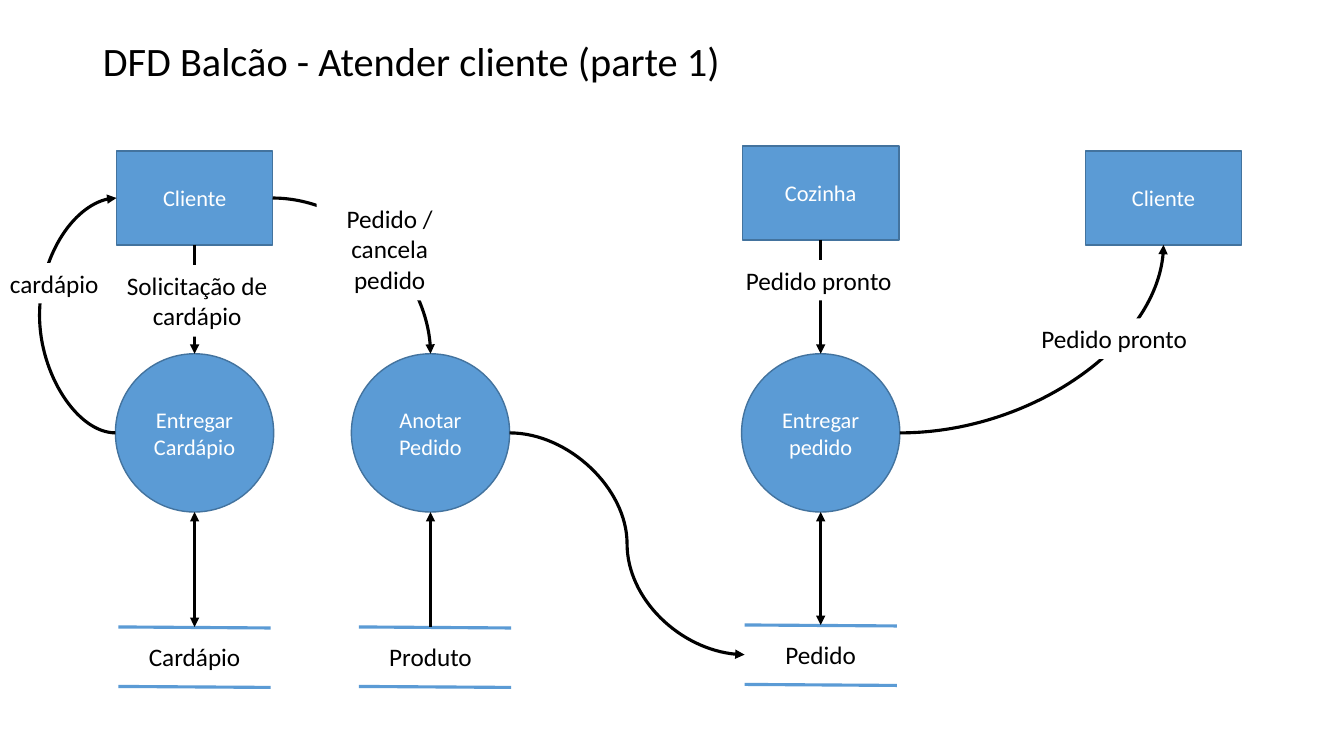
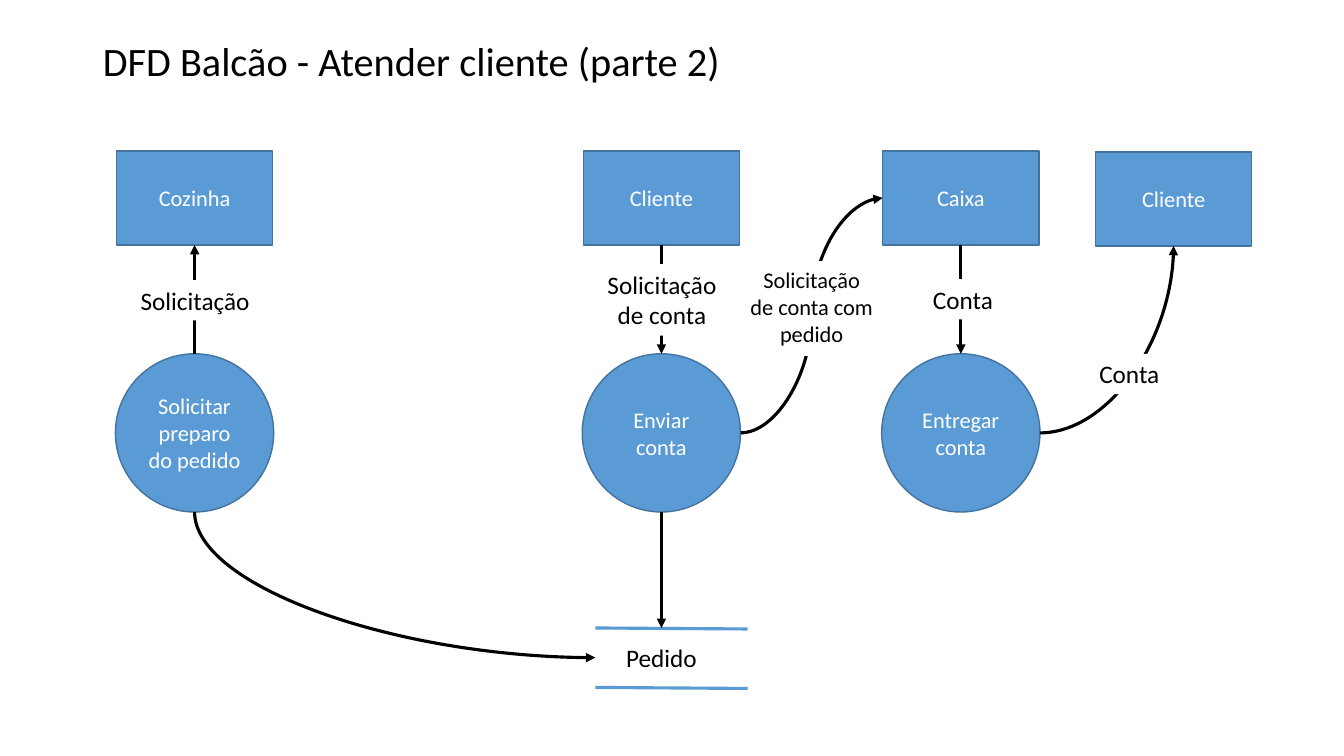
from pptx import Presentation
from pptx.dml.color import RGBColor
from pptx.enum.shapes import MSO_CONNECTOR, MSO_SHAPE
from pptx.enum.text import MSO_ANCHOR, MSO_AUTO_SIZE, PP_ALIGN
from pptx.oxml.xmlchemy import OxmlElement
from pptx.util import Inches, Pt

BLUE = RGBColor(0x5B, 0x9B, 0xD5)
EDGE = RGBColor(0x43, 0x73, 0x9E)
BLACK = RGBColor(0, 0, 0)
WHITE = RGBColor(0xFF, 0xFF, 0xFF)
FONT = "Calibri"
RECT, OVAL = MSO_SHAPE.RECTANGLE, MSO_SHAPE.OVAL
STRAIGHT, CURVE = MSO_CONNECTOR.STRAIGHT, MSO_CONNECTOR.CURVE
LEFT, CENTER = PP_ALIGN.LEFT, PP_ALIGN.CENTER
MIDDLE, TOP = MSO_ANCHOR.MIDDLE, MSO_ANCHOR.TOP

# Sizes shared by both diagrams, in inches
ENTITY_W, ENTITY_H = 1.55, 0.93
PROCESS_D, PROCESS_Y = 1.57, 3.51
STORE_W, STORE_H, STORE_SLOPE = 1.51, 0.59, 0.01

# Connection site numbers of each side
RECT_SITES = {"top": 0, "left": 1, "bottom": 2, "right": 3}
OVAL_SITES = {"top": 0, "left": 2, "bottom": 4, "right": 6}


def set_text(shape, text, size, color, align=CENTER, anchor=MIDDLE):
    tf = shape.text_frame
    tf.word_wrap = True
    tf.vertical_anchor = anchor
    tf.text = text
    for p in tf.paragraphs:
        p.alignment = align
        p.font.name, p.font.size, p.font.color.rgb = FONT, Pt(size), color


def add_title(s, text):
    title = s.shapes.title
    title.left, title.top = Inches(0.92), Inches(0.4)
    title.width, title.height = Inches(11.5), Inches(0.46)
    title.text_frame.auto_size = MSO_AUTO_SIZE.NONE
    set_text(title, text, 28.8, BLACK, LEFT)
    title.text_frame.paragraphs[0].line_spacing = 0.9


def add_node(s, kind, cx, y, w, h, text):
    sp = s.shapes.add_shape(kind, Inches(cx - w / 2), Inches(y), Inches(w), Inches(h))
    sp.shadow.inherit = False
    sp.fill.solid()
    sp.fill.fore_color.rgb = BLUE
    sp.line.color.rgb = EDGE
    sp.line.width = Pt(1)
    set_text(sp, text, 16, WHITE)
    return sp


def add_entity(s, cx, text, y=1.5):
    return add_node(s, RECT, cx, y, ENTITY_W, ENTITY_H, text)


def add_process(s, cx, text):
    return add_node(s, OVAL, cx, PROCESS_Y, PROCESS_D, PROCESS_D, text)


def add_line(s, kind, x1, y1, x2, y2, color):
    line = s.shapes.add_connector(kind, x1, y1, x2, y2)
    line.line.color.rgb = color
    line.line.width = Pt(2.25)
    line.element.spPr.append(OxmlElement("a:effectLst"))
    return line


def add_store(s, cx, y, text, label_w=STORE_W):
    """Data store: a label between two rules that start at its left edge."""
    x = cx - label_w / 2
    for rule_y in (y, y + STORE_H):
        add_line(s, STRAIGHT, Inches(x), Inches(rule_y),
                 Inches(x + STORE_W), Inches(rule_y + STORE_SLOPE), BLUE)
    box = s.shapes.add_textbox(Inches(x), Inches(y), Inches(label_w), Inches(STORE_H))
    set_text(box, text, 18, BLACK)
    return box


def side_point(shape, side):
    fx, fy = {"top": (0.5, 0), "left": (0, 0.5),
              "bottom": (0.5, 1), "right": (1, 0.5)}[side]
    return (int(shape.left + shape.width * fx), int(shape.top + shape.height * fy))


def add_arrowhead(line, tag):
    end = OxmlElement(tag)
    end.set("type", "triangle")
    line.line._get_or_add_ln().append(end)


def glue(line, tag, shape, side):
    is_oval = shape.element.spPr.prstGeom.get("prst") == "ellipse"
    site = OxmlElement(tag)
    site.set("id", str(shape.shape_id))
    site.set("idx", str((OVAL_SITES if is_oval else RECT_SITES)[side]))
    line.element.nvCxnSpPr.cNvCxnSpPr.append(site)


def add_flow(s, source, out, target, into, both=False, bend_x=None):
    """Arrow between two sides; its form follows from the two directions."""
    (x1, y1), (x2, y2) = side_point(source, out), side_point(target, into)
    vertical = ("top", "bottom")
    straight = out in vertical and into in vertical
    line = add_line(s, STRAIGHT if straight else CURVE, x1, y1, x2, y2, BLACK)
    geom = line.element.spPr.prstGeom
    # One quarter turn when the directions differ
    if (out in vertical) != (into in vertical):
        geom.set("prst", "curvedConnector2")
        if out in vertical:
            w, h = y2 - y1, x2 - x1
            line.left, line.top = (x1 + x2 - w) // 2, (y1 + y2 - h) // 2
            line.width, line.height = w, h
            xfrm = line.element.spPr.xfrm
            xfrm.set("rot", "16200000")
            xfrm.set("flipH", "1")
    # A loop bulges out to bend_x
    if bend_x is not None:
        guide = OxmlElement("a:gd")
        guide.set("name", "adj1")
        guide.set("fmla", f"val {round((Inches(bend_x) - x1) / (x2 - x1) * 100000)}")
        geom.get_or_add_avLst().append(guide)
    if both:
        add_arrowhead(line, "a:headEnd")
    add_arrowhead(line, "a:tailEnd")
    glue(line, "a:stCxn", source, out)
    glue(line, "a:endCxn", target, into)


def add_label(s, x, y, w, h, text, size=18, align=CENTER):
    """White plate that interrupts the flow it names."""
    sp = s.shapes.add_shape(RECT, Inches(x), Inches(y), Inches(w), Inches(h))
    sp.shadow.inherit = False
    sp.fill.solid()
    sp.fill.fore_color.rgb = WHITE
    sp.line.fill.background()
    set_text(sp, text, size, BLACK, align, TOP)


def new_slide(prs, title):
    s = prs.slides.add_slide(prs.slide_layouts[5])
    add_title(s, title)
    return s


def build_part_1(prs):
    s = new_slide(prs, "DFD Balcão - Atender cliente (parte 1)")
    # Entities, processes and stores
    client = add_entity(s, 1.93, "Cliente")
    kitchen = add_entity(s, 8.14, "Cozinha", 1.45)
    served = add_entity(s, 11.54, "Cliente")
    hand_menu = add_process(s, 1.93, "Entregar Cardápio")
    take_order = add_process(s, 4.27, "Anotar Pedido")
    hand_order = add_process(s, 8.14, "Entregar pedido")
    menu = add_store(s, 1.93, 6.22, "Cardápio")
    product = add_store(s, 4.27, 6.22, "Produto", 1.42)
    order = add_store(s, 8.14, 6.2, "Pedido")
    # Flows
    add_flow(s, hand_menu, "left", client, "left", bend_x=0.38)
    add_flow(s, client, "bottom", hand_menu, "top")
    add_flow(s, client, "right", take_order, "top")
    add_flow(s, hand_menu, "bottom", menu, "top", both=True)
    add_flow(s, product, "top", take_order, "bottom")
    add_flow(s, hand_order, "bottom", order, "top", both=True)
    add_flow(s, hand_order, "right", served, "bottom")
    add_flow(s, kitchen, "bottom", hand_order, "top")
    add_flow(s, take_order, "right", order, "left")
    # Flow names
    add_label(s, 0, 2.61, 1.18, 0.4, "cardápio", align=LEFT)
    add_label(s, 1.14, 2.63, 1.63, 0.71, "Solicitação de cardápio")
    add_label(s, 3.14, 1.97, 1.45, 1.01, "Pedido / cancela pedido")
    add_label(s, 7.3, 2.58, 1.66, 0.4, "Pedido pronto", align=LEFT)
    add_label(s, 10.23, 3.16, 1.66, 0.4, "Pedido pronto", align=LEFT)


def build_part_2(prs):
    s = new_slide(prs, "DFD Balcão - Atender cliente (parte 2)")
    # Entities, processes and stores
    kitchen = add_entity(s, 1.93, "Cozinha")
    client = add_entity(s, 6.56, "Cliente")
    cashier = add_entity(s, 9.53, "Caixa")
    billed = add_entity(s, 11.64, "Cliente", 1.51)
    ask_kitchen = add_process(s, 1.93, "Solicitar preparo do pedido")
    send_bill = add_process(s, 6.56, "Enviar conta")
    hand_bill = add_process(s, 9.53, "Entregar conta")
    order = add_store(s, 6.56, 6.23, "Pedido", 1.31)
    # Flows
    add_flow(s, client, "bottom", send_bill, "top")
    add_flow(s, ask_kitchen, "top", kitchen, "bottom")
    add_flow(s, ask_kitchen, "bottom", order, "left")
    add_flow(s, send_bill, "bottom", order, "top")
    add_flow(s, send_bill, "right", cashier, "left")
    add_flow(s, cashier, "bottom", hand_bill, "top")
    add_flow(s, hand_bill, "right", billed, "bottom")
    # Flow names
    add_label(s, 1.12, 2.78, 1.63, 0.4, "Solicitação")
    add_label(s, 5.42, 2.62, 2.29, 0.71, "Solicitação\nde conta")
    add_label(s, 7.26, 2.59, 1.58, 0.94, "Solicitação\nde conta com\npedido", 16)
    add_label(s, 8.76, 2.77, 1.58, 0.4, "Conta")
    add_label(s, 10.41, 3.51, 1.58, 0.4, "Conta")


def main():
    prs = Presentation()
    prs.slide_width, prs.slide_height = Inches(13.33), Inches(7.5)
    build_part_1(prs)
    build_part_2(prs)
    prs.save("out.pptx")


if __name__ == "__main__":
    main()
